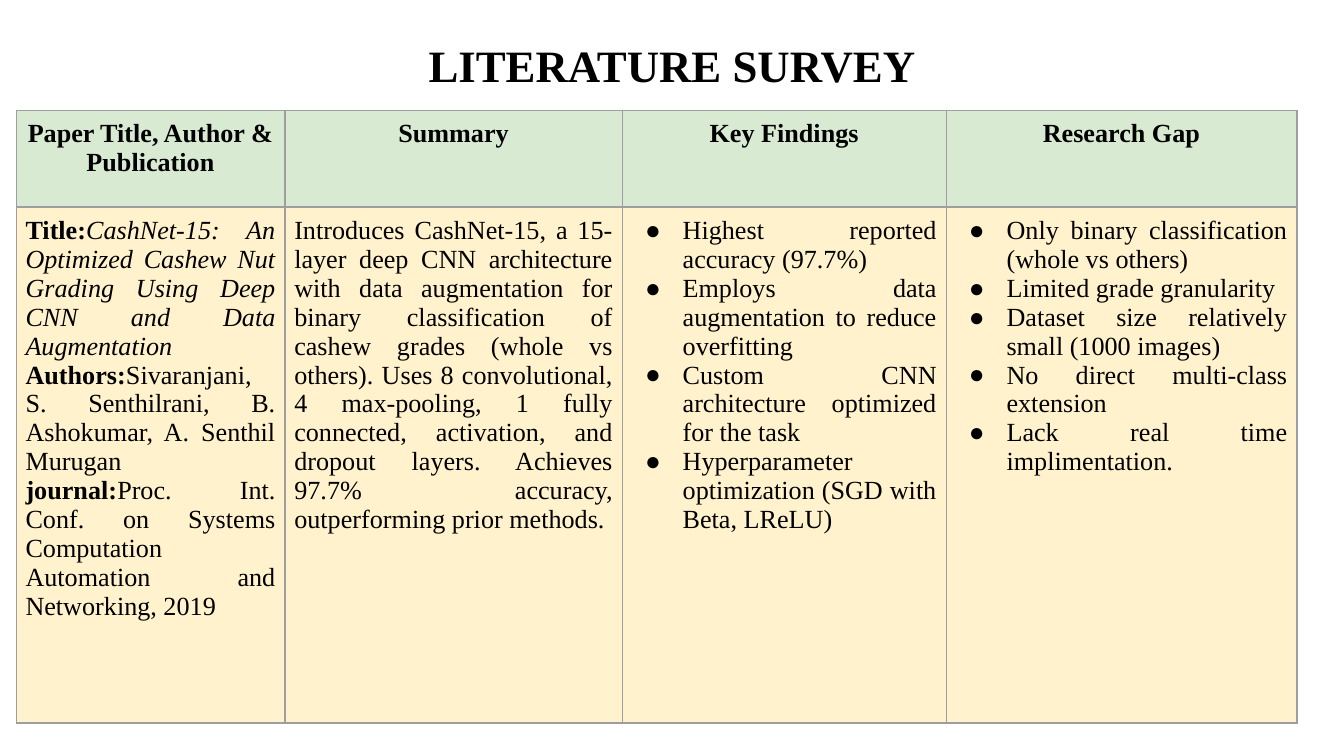
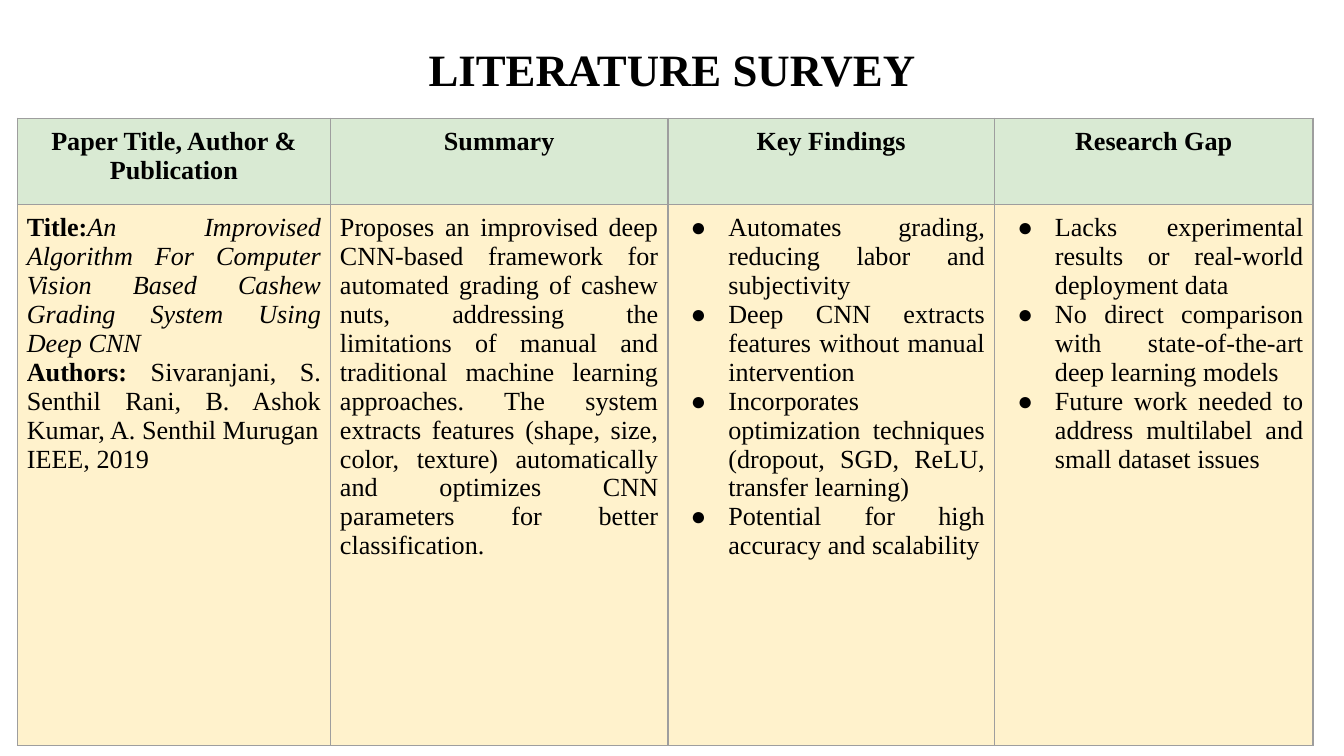
"""Build two literature survey slides, each with a title and a review table."""
import pptx
import pptx.dml.color
import pptx.enum.text
import pptx.oxml
import pptx.oxml.ns
import pptx.util
from lxml import etree

Inches, Pt = pptx.util.Inches, pptx.util.Pt
ALIGN = pptx.enum.text.PP_ALIGN
COLORS = {"text": "000000", "head": "D9EAD3", "body": "FFF2CC", "line": "9E9E9E"}
FONT = "Times New Roman"
TITLE = "LITERATURE SURVEY"
HEADS = ["Paper Title, Author & Publication", "Summary", "Key Findings", "Research Gap"]

PAPERS = [
    {
        "title_top": 0.24, "at": (0.12, 0.82),
        "cols": [2, 2.51, 2.41, 2.61], "rows": [0.72, 3.84],
        "cite": [
            [("Title:", "b"), ("CashNet-15: An Optimized Cashew Nut Grading Using "
                               "Deep CNN and Data Augmentation", "i")],
            [("Authors:", "b"),
             ("Sivaranjani, S. Senthilrani, B. Ashokumar, A. Senthil Murugan", "")],
            [("journal:", "b"), ("Proc. Int. Conf. on Systems Computation "
                                 "Automation and Networking, 2019", "")],
        ],
        "summary": "Introduces CashNet-15, a 15-layer deep CNN architecture with data "
                   "augmentation for binary classification of cashew grades (whole vs "
                   "others). Uses 8 convolutional, 4 max-pooling, 1 fully connected, "
                   "activation, and dropout layers. Achieves 97.7% accuracy, "
                   "outperforming prior methods.",
        "finds": [
            "Highest reported accuracy (97.7%)",
            "Employs data augmentation to reduce overfitting",
            "Custom CNN architecture optimized for the task",
            "Hyperparameter optimization (SGD with Beta, LReLU)",
        ],
        "gaps": [
            "Only binary classification (whole vs others)",
            "Limited grade granularity",
            "Dataset size relatively small (1000 images)",
            "No direct multi-class extension",
            "Lack real time implimentation.",
        ],
    },
    {
        "title_top": 0.27, "at": (0.13, 0.88),
        "cols": [2.33, 2.51, 2.43, 2.37], "rows": [0.64, 4.03],
        "cite": [
            [("Title:", "b"), ("An Improvised Algorithm For Computer Vision Based "
                               "Cashew Grading System Using Deep CNN", "i")],
            [("Authors:", "b"),
             (" Sivaranjani, S. Senthil Rani, B. Ashok Kumar, A. Senthil Murugan", "")],
            [("IEEE, 2019", "")],
        ],
        "summary": "Proposes an improvised deep CNN-based framework for automated "
                   "grading of cashew nuts, addressing the limitations of manual and "
                   "traditional machine learning approaches. The system extracts "
                   "features (shape, size, color, texture) automatically and optimizes "
                   "CNN parameters for better classification.",
        "finds": [
            "Automates grading, reducing labor and subjectivity",
            "Deep CNN extracts features without manual intervention",
            "Incorporates optimization techniques (dropout, SGD, ReLU, transfer learning)",
            "Potential for high accuracy and scalability",
        ],
        "gaps": [
            "Lacks experimental results or real-world deployment data",
            "No direct comparison with state-of-the-art deep learning models",
            "Future work needed to address multilabel and small dataset issues",
        ],
    },
]


def rgb(name):
    return pptx.dml.color.RGBColor.from_string(COLORS[name])


def assign(target, values):
    for name, value in values.items():
        setattr(target, name, value)


def add_node(parent, tag, **attrs):
    return etree.SubElement(parent, pptx.oxml.ns.qn(tag), attrs)


def add_bullet(para):
    props = para._p.get_or_add_pPr()
    props.set("marL", str(Inches(0.38)))
    props.set("indent", str(Inches(-0.28)))
    add_node(add_node(props, "a:buClr"), "a:srgbClr", val=COLORS["text"])
    add_node(props, "a:buFont", typeface=FONT)
    add_node(props, "a:buChar", char="●")


def write(frame, paras, align, size=14, bullet=False):
    for index, runs in enumerate(paras):
        para = frame.add_paragraph() if index else frame.paragraphs[0]
        para.alignment = align
        if bullet:
            add_bullet(para)
        for text, style in runs:
            run = para.add_run()
            run.text = text
            assign(run.font, {"name": FONT, "size": Pt(size),
                              "bold": "b" in style, "italic": "i" in style})
            run.font.color.rgb = rgb("text")


def dress(cell, fill):
    assign(cell, {f"margin_{side}": Inches(0.07)
                  for side in ("left", "right", "top", "bottom")})
    props = cell._tc.get_or_add_tcPr()
    for side in "LRTB":
        line = add_node(props, f"a:ln{side}", w=str(Pt(0.75)))
        add_node(add_node(line, "a:solidFill"), "a:srgbClr", val=COLORS["line"])
    cell.fill.solid()
    cell.fill.fore_color.rgb = rgb(fill)


def add_title(slide, top):
    box = slide.shapes.add_textbox(Inches(2.85), Inches(top), Inches(4.3), Inches(0.48))
    frame = box.text_frame
    assign(frame, {"word_wrap": True,
                   "margin_left": Inches(0.07), "margin_right": Inches(0.07),
                   "margin_top": Inches(0.04), "margin_bottom": Inches(0.04)})
    write(frame, [[(TITLE, "b")]], ALIGN.CENTER, 24)


def add_review(slide, paper):
    cols, rows = paper["cols"], paper["rows"]
    spots = (*paper["at"], sum(cols), sum(rows))
    table = slide.shapes.add_table(len(rows), len(cols), *map(Inches, spots)).table
    assign(table, {"first_row": False, "horz_banding": False})
    for col, width in zip(table.columns, cols):
        col.width = Inches(width)
    for row, height in zip(table.rows, rows):
        row.height = Inches(height)
    lists = [[[(item, "")] for item in paper[key]] for key in ("finds", "gaps")]
    bodies = [paper["cite"], [[(paper["summary"], "")]], *lists]
    for index, (head, body) in enumerate(zip(HEADS, bodies)):
        top, main = table.cell(0, index), table.cell(1, index)
        dress(top, "head")
        dress(main, "body")
        write(top.text_frame, [[(head, "b")]], ALIGN.CENTER)
        write(main.text_frame, body, ALIGN.JUSTIFY, bullet=body in lists)


def main():
    deck = pptx.Presentation()
    wide = Inches(10)
    assign(deck, {"slide_width": wide, "slide_height": wide * 9 // 16})
    for paper in PAPERS:
        slide = deck.slides.add_slide(deck.slide_layouts[6])
        add_review(slide, paper)
        add_title(slide, paper["title_top"])
    deck.save("out.pptx")


if __name__ == "__main__":
    main()
